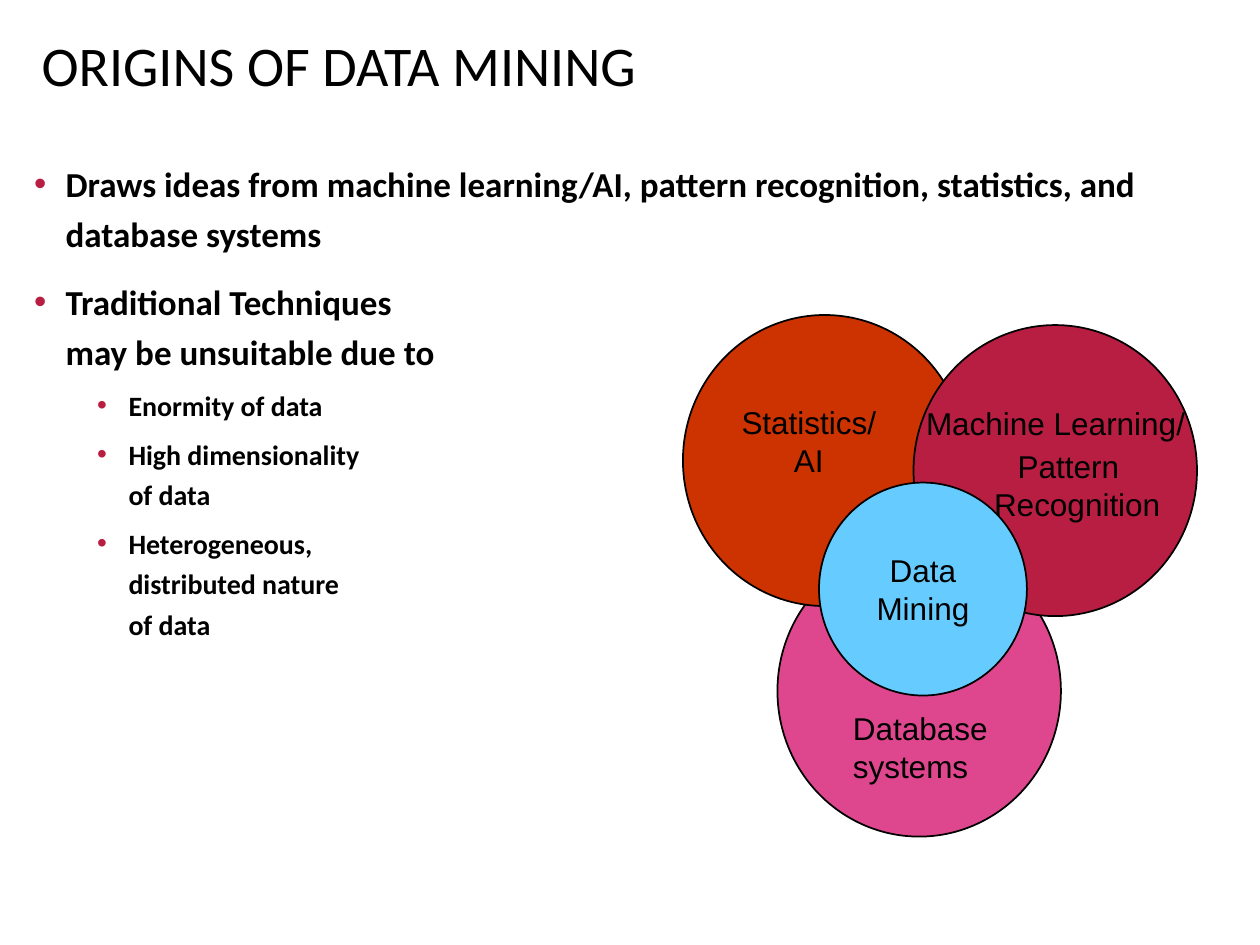
from dataclasses import dataclass

from lxml.etree import SubElement
from pptx import Presentation
from pptx.dml.color import RGBColor
from pptx.enum.shapes import MSO_SHAPE
from pptx.enum.text import MSO_ANCHOR, MSO_AUTO_SIZE, PP_ALIGN
from pptx.oxml.ns import qn
from pptx.util import Inches, Pt


@dataclass(frozen=True)
class Theme:
    text: str = "000000"
    accent: str = "B71E42"
    database: str = "DE478E"
    statistics: str = "CC3300"
    mining: str = "66CCFF"
    text_font: str = "Calibri"
    label_font: str = "Arial"
    title_size: float = 32
    level_sizes: tuple = (20, 16)
    label_size: float = 18


THEME = Theme()
CIRCLE = (2.25, 2.31)

BULLETS = [
    (0, "Draws ideas from machine learning/AI, pattern recognition, "
        "statistics, and database systems"),
    (0, "Traditional Techniques\vmay be unsuitable due to"),
    (1, "Enormity of data"),
    (1, "High dimensionality \vof data"),
    (1, "Heterogeneous, \vdistributed nature \vof data"),
]


def rgb(color):
    return RGBColor.from_string(color)


def place(sp, left, top, width, height):
    sp.left, sp.top = Inches(left), Inches(top)
    sp.width, sp.height = Inches(width), Inches(height)


def set_frame(tf, side, anchor=MSO_ANCHOR.TOP):
    tf.word_wrap = True
    tf.auto_size = MSO_AUTO_SIZE.NONE
    tf.vertical_anchor = anchor
    tf.margin_left = tf.margin_right = Inches(side)
    tf.margin_top = tf.margin_bottom = Inches(0.05)


def style_runs(p, font, size, bold=False):
    for r in p.runs:
        r.font.name = font
        r.font.size = Pt(size)
        r.font.bold = bold
        r.font.color.rgb = rgb(THEME.text)
    for br in p._p.findall(qn("a:br")):
        SubElement(br, qn("a:rPr"), sz=str(int(size * 100)))


def add_bullet(p, level):
    pPr = p._p.get_or_add_pPr()
    pPr.set("marL", str(Inches(0.25 + 0.5 * level)))
    pPr.set("indent", str(Inches(-0.25)))
    color = SubElement(pPr, qn("a:buClr"))
    SubElement(color, qn("a:srgbClr"), val=THEME.accent)
    SubElement(pPr, qn("a:buFont"), typeface="Arial")
    SubElement(pPr, qn("a:buChar"), char="•")


def fill_title(sp, text):
    place(sp, 0.33, 0.25, 9.06, 0.58)
    set_frame(sp.text_frame, 0, MSO_ANCHOR.MIDDLE)
    sp.text_frame.text = text
    p = sp.text_frame.paragraphs[0]
    p.alignment = PP_ALIGN.LEFT
    p.line_spacing = 0.9
    style_runs(p, THEME.text_font, THEME.title_size)


def fill_body(sp, bullets):
    place(sp, 0.17, 1.17, 9.67, 6)
    tf = sp.text_frame
    set_frame(tf, 0.1)
    for i, (level, text) in enumerate(bullets):
        p = tf.add_paragraph() if i else tf.paragraphs[0]
        p.text = text
        p.level = level
        add_bullet(p, level)
        p.line_spacing = 1.2
        p.space_before = Pt((10, 5)[level] if i else 0)
        style_runs(p, THEME.text_font, THEME.level_sizes[level], bold=True)


def add_circle(slide, left, top, color, size=CIRCLE):
    sp = slide.shapes.add_shape(MSO_SHAPE.OVAL, Inches(left), Inches(top),
                                Inches(size[0]), Inches(size[1]))
    sp.shadow.inherit = False
    sp.fill.solid()
    sp.fill.fore_color.rgb = rgb(color)
    sp.line.color.rgb = rgb(THEME.text)
    sp.line.width = Pt(1)
    return sp


def write_label(tf, lines, side=0.1, anchor=MSO_ANCHOR.TOP):
    set_frame(tf, side, anchor)
    for i, (text, align) in enumerate(lines):
        p = tf.add_paragraph() if i else tf.paragraphs[0]
        p.text = text
        p.alignment = align
        p.space_before = Pt(2.7 if i else 0)
        style_runs(p, THEME.label_font, THEME.label_size)


def add_label(slide, left, top, width, height, lines, side=0.1):
    sp = slide.shapes.add_textbox(Inches(left), Inches(top),
                                  Inches(width), Inches(height))
    write_label(sp.text_frame, lines, side)


def add_venn(slide):
    left, center = PP_ALIGN.LEFT, PP_ALIGN.CENTER
    add_circle(slide, 6.17, 4.33, THEME.database)
    add_circle(slide, 5.42, 2.5, THEME.statistics)
    add_circle(slide, 7.25, 2.58, THEME.accent)
    add_label(slide, 7.35, 3.16, 2.33, 1.05,
              [("Machine Learning/", left),
               ("Pattern \v Recognition", center)], side=0)
    add_label(slide, 5.67, 3.15, 1.5, 0.7, [("Statistics/\vAI", center)])
    mining = add_circle(slide, 6.5, 3.83, THEME.mining, (1.65, 1.69))
    write_label(mining.text_frame, [("Data Mining", center)],
                anchor=MSO_ANCHOR.MIDDLE)
    add_label(slide, 6.67, 5.58, 1.58, 0.7, [("Database systems", left)])


def main():
    prs = Presentation()
    prs.slide_width, prs.slide_height = Inches(10), Inches(7.5)
    slide = prs.slides.add_slide(prs.slide_layouts[1])
    fill_title(slide.shapes.title, "ORIGINS OF DATA MINING")
    fill_body(slide.placeholders[1], BULLETS)
    add_venn(slide)
    prs.save("out.pptx")


if __name__ == "__main__":
    main()
